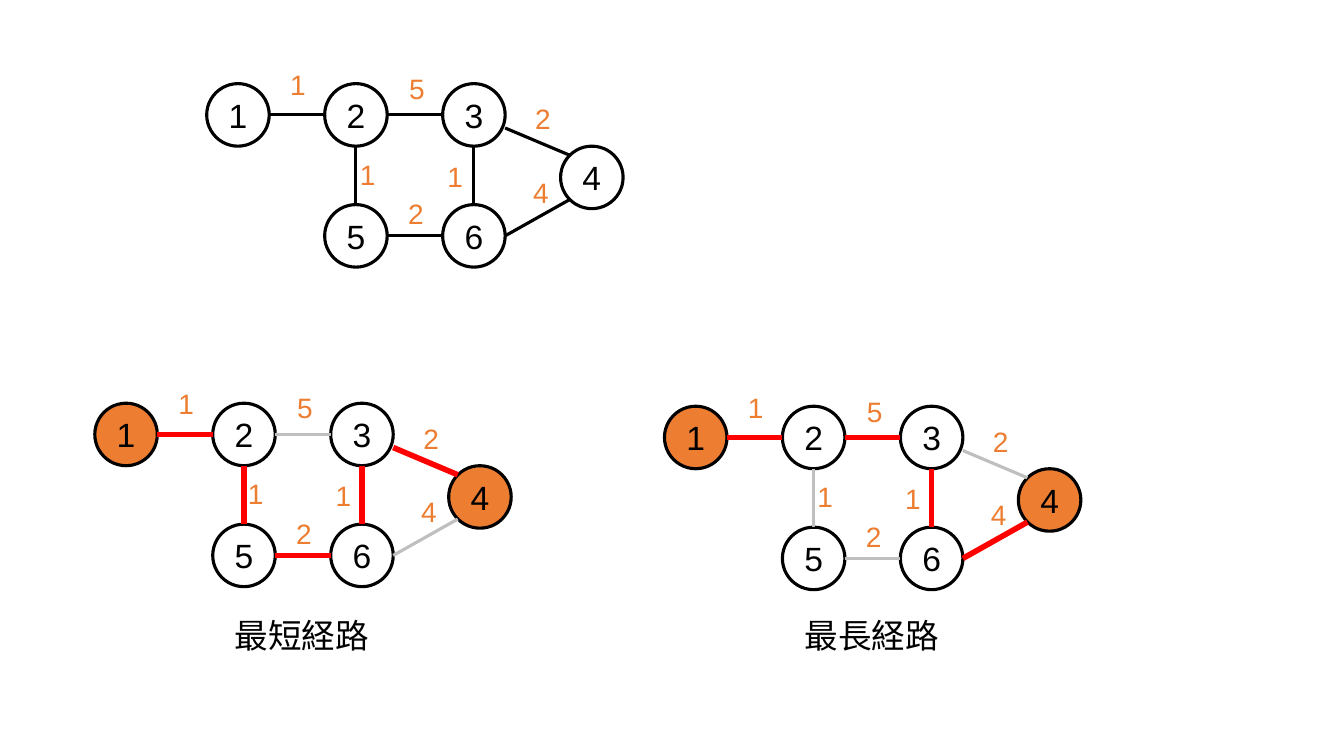
from dataclasses import dataclass
from typing import Optional

from lxml.etree import SubElement
from pptx import Presentation
from pptx.dml.color import RGBColor
from pptx.enum.shapes import MSO_CONNECTOR, MSO_SHAPE
from pptx.enum.text import MSO_ANCHOR, PP_ALIGN
from pptx.oxml.ns import qn
from pptx.util import Inches, Pt

BLACK = RGBColor(0x00, 0x00, 0x00)
ORANGE = RGBColor(0xED, 0x7D, 0x31)
RED = RGBColor(0xFF, 0x00, 0x00)
GRAY = RGBColor(0xBF, 0xBF, 0xBF)

DIAMETER = 0.62
THIN, THICK = Pt(2.25), Pt(4)
NODE_FORMAT = {"name": "Arial", "size": Pt(24), "color": BLACK}
WEIGHT_FORMAT = {"name": "Arial", "size": Pt(20), "color": ORANGE}
CAPTION_FORMAT = {"name": "Noto Sans CJK JP", "size": Pt(24), "color": BLACK}


@dataclass(frozen=True)
class Edge:
    name: str
    weight: int
    start: tuple[float, float]
    end: tuple[float, float]
    label: tuple[float, float]


@dataclass(frozen=True)
class Graph:
    left: float
    top: float
    route: Optional[set[str]] = None
    caption: str = ""


# Places are measured from the top left corner of node 1
COLUMN, ROW, CENTER = 1.17, 1.2, DIAMETER / 2
NODES = {
    "2": (COLUMN, 0),
    "3": (2 * COLUMN, 0),
    "4": (3 * COLUMN, DIAMETER),
    "1": (0, 0),
    "5": (COLUMN, ROW),
    "6": (2 * COLUMN, ROW),
}
RIGHT_OF_3 = 2 * COLUMN + DIAMETER
EDGES = [
    Edge("2-3", 5, (COLUMN + DIAMETER, CENTER), (2 * COLUMN, CENTER), (1.91, -0.17)),
    Edge("1-2", 1, (DIAMETER, CENTER), (COLUMN, CENTER), (0.73, -0.21)),
    Edge("2-5", 1, (COLUMN + CENTER, DIAMETER), (COLUMN + CENTER, ROW), (1.42, 0.68)),
    Edge("3-6", 1, (2 * COLUMN + CENTER, DIAMETER), (2 * COLUMN + CENTER, ROW), (2.29, 0.7)),
    Edge("3-4", 2, (RIGHT_OF_3, 0.44), (3.6, 0.71), (3.16, 0.13)),
    Edge("6-4", 4, (RIGHT_OF_3, ROW + CENTER), (3.6, 1.15), (3.14, 0.86)),
    Edge("5-6", 2, (COLUMN + DIAMETER, ROW + CENTER), (2 * COLUMN, ROW + CENTER), (1.9, 1.07)),
]
ROUTE_ENDS = {"1", "4"}
GRAPHS = [
    Graph(2.05, 0.83),
    Graph(0.94, 4.0, {"1-2", "2-5", "5-6", "3-6", "3-4"}, "最短経路"),
    Graph(6.59, 4.03, {"1-2", "2-3", "3-6", "6-4"}, "最長経路"),
]


def write_text(frame, text: str, formats: dict) -> None:
    span = frame.paragraphs[0].add_run()
    span.text = text
    for attribute, value in formats.items():
        if attribute == "color":
            span.font.color.rgb = value
        else:
            setattr(span.font, attribute, value)
    east_asian = SubElement(span.font._element, qn("a:ea"))
    east_asian.set("typeface", formats["name"])


def add_node(shapes, graph: Graph, name: str, place: tuple[float, float]) -> None:
    circle = shapes.add_shape(
        MSO_SHAPE.OVAL, Inches(graph.left + place[0]), Inches(graph.top + place[1]),
        Inches(DIAMETER), Inches(DIAMETER))
    circle.shadow.inherit = False
    circle.line.color.rgb = BLACK
    circle.line.width = THIN
    if graph.route and name in ROUTE_ENDS:
        circle.fill.solid()
        circle.fill.fore_color.rgb = ORANGE
    else:
        circle.fill.background()
    frame = circle.text_frame
    frame.vertical_anchor = MSO_ANCHOR.MIDDLE
    frame.paragraphs[0].alignment = PP_ALIGN.CENTER
    write_text(frame, name, NODE_FORMAT)


def add_edge(shapes, graph: Graph, edge: Edge) -> None:
    line = shapes.add_connector(
        MSO_CONNECTOR.STRAIGHT,
        Inches(graph.left + edge.start[0]), Inches(graph.top + edge.start[1]),
        Inches(graph.left + edge.end[0]), Inches(graph.top + edge.end[1]))
    if graph.route is None:
        color, width = BLACK, THIN
    elif edge.name in graph.route:
        color, width = RED, THICK
    else:
        color, width = GRAY, THIN
    line.line.color.rgb = color
    line.line.width = width
    SubElement(line._element.spPr, qn("a:effectLst"))


def add_label(shapes, text: str, left: float, top: float,
              width: float, height: float, formats: dict) -> None:
    box = shapes.add_textbox(Inches(left), Inches(top), Inches(width), Inches(height))
    box.text_frame.word_wrap = False
    write_text(box.text_frame, text, formats)


def add_graph(page, graph: Graph) -> None:
    # The graphs that show a route are kept together as groups
    shapes = page.shapes.add_group_shape().shapes if graph.route else page.shapes
    for name, place in NODES.items():
        add_node(shapes, graph, name, place)
    for edge in EDGES:
        add_edge(shapes, graph, edge)
    for edge in EDGES:
        add_label(shapes, str(edge.weight), graph.left + edge.label[0],
                  graph.top + edge.label[1], 0.36, 0.44, WEIGHT_FORMAT)


def main() -> None:
    deck = Presentation()
    deck.slide_width, deck.slide_height = Inches(13.33), Inches(7.5)
    page = deck.slides.add_slide(deck.slide_layouts[6])

    # Weighted graph, then its shortest and longest routes
    for graph in GRAPHS:
        add_graph(page, graph)

    # Captions share one baseline
    for graph in GRAPHS:
        if graph.caption:
            add_label(page.shapes, graph.caption, graph.left + 1.29, 6.05,
                      1.55, 0.5, CAPTION_FORMAT)

    deck.save("out.pptx")


if __name__ == "__main__":
    main()
